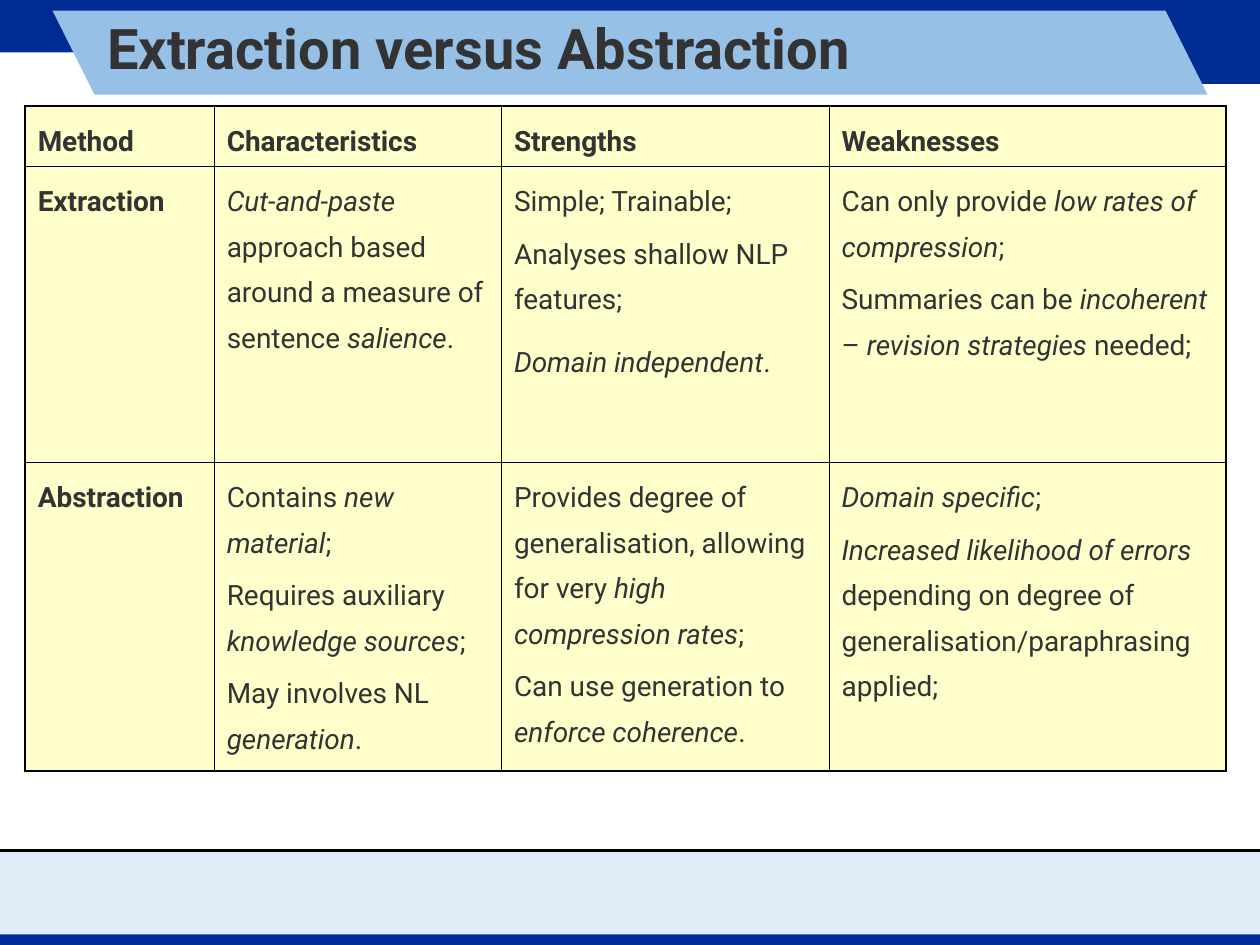
from lxml.etree import SubElement
from pptx import Presentation
from pptx.dml.color import RGBColor
from pptx.enum.shapes import MSO_CONNECTOR as Connector, MSO_SHAPE as Shape
from pptx.enum.text import MSO_ANCHOR as Anchor, MSO_AUTO_SIZE as AutoSize, PP_ALIGN as Align
from pptx.oxml.ns import qn
from pptx.util import Inches, Pt

COLS, ROWS = 120, 90  # slide grid, twelve units to the inch
UNIT = Inches(10) // COLS
NAVY, SKY, PALE, CREAM = "002B94", "97C0E6", "E0ECF7", "FFFFCC"
INK, BLACK = "333333", "000000"
THIN, THICK = 0.45, 1.08

TITLE = "Extraction versus Abstraction"
COLUMN_WIDTHS = [1.5, 2.28, 2.6, 3.15]
ROW_HEIGHTS = [0.48, 2.35, 2.45]
# Each cell is a list of paragraphs; asterisks enclose italic words
METHODS = [
    [["Method"], ["Characteristics"], ["Strengths"], ["Weaknesses"]],
    [["Extraction"],
     ["*Cut-and-paste* approach based around a measure of sentence *salience*."],
     ["Simple; Trainable;", "Analyses shallow NLP features;",
      "*Domain independent*."],
     ["Can only provide *low rates of compression*;",
      "Summaries can be *incoherent* – *revision strategies* needed;"]],
    [["Abstraction"],
     ["Contains *new material*;", "Requires auxiliary *knowledge sources*;",
      "May involves NL *generation*."],
     ["Provides degree of generalisation, allowing for very *high compression rates*;",
      "Can use generation to *enforce coherence*."],
     ["*Domain specific*;",
      "*Increased likelihood of errors* depending on degree of "
      "generalisation/paraphrasing applied;"]],
]
WIDE_GAPS = {(1, 2): 10}  # space before the last paragraph of a cell


def colour(value):
    return RGBColor.from_string(value)


def write(para, text, size=16, bold=False, spacing=None, before=0):
    """Fill a paragraph, switching italics at each asterisk."""
    para.alignment = Align.LEFT
    para.space_before = Pt(before)
    if spacing:
        para.line_spacing = spacing
    for index, part in enumerate(text.split("*")):
        if part:
            span = para.add_run()
            span.text = part
            font = span.font
            font.name, font.size, font.bold = "Roboto", Pt(size), bold
            font.italic = index % 2 == 1
            font.color.rgb = colour(INK)


def paint(shape, fill):
    shape.shadow.inherit = False
    shape.fill.solid()
    shape.fill.fore_color.rgb = colour(fill)
    shape.line.fill.background()


def add_bar(page, box, fill):
    paint(page.shapes.add_shape(Shape.RECTANGLE, *[UNIT * n for n in box]), fill)


def add_slanted_band(page, box, shift, fill):
    """Draw a band whose bottom edge is moved sideways by shift units."""
    left, top, width, height = box
    start = left + max(-shift, 0)
    end = left + width - max(shift, 0)
    bottom = top + height
    corners = [(end, top), (end + shift, bottom), (start + shift, bottom)]
    outline = page.shapes.build_freeform(UNIT * start, UNIT * top)
    outline.add_line_segments([(UNIT * x, UNIT * y) for x, y in corners], close=True)
    paint(outline.convert_to_shape(), fill)


def add_footer(page, box):
    left, top, width, height = box
    add_slanted_band(page, (left - 5, top, width + 10, height - 1), -5, PALE)
    rule = page.shapes.add_connector(
        Connector.STRAIGHT, UNIT * left, UNIT * top, UNIT * (left + width), UNIT * top)
    rule.line.color.rgb = colour(BLACK)
    rule.line.width = Pt(1.5)
    SubElement(rule.element.spPr, qn("a:effectLst"))
    add_bar(page, (left, top + height - 1, width, 1), NAVY)


def add_header(page, box):
    left, top, width, height = box
    add_bar(page, (left, top, width, 5), NAVY)
    add_bar(page, (left + width - 34, top + 3, 34, 5), NAVY)
    add_slanted_band(page, (left + 5, top + 1, width - 10, height - 1), 4, SKY)

    # Title placeholder, brought in front of the band
    title = page.shapes.title
    title.left, title.top = UNIT * (left + 9), UNIT * (top + 1)
    title.width, title.height = UNIT * (width - 18), UNIT * (height - 2)
    title.element.getparent().append(title.element)
    frame = title.text_frame
    frame.word_wrap, frame.auto_size = True, AutoSize.NONE
    frame.vertical_anchor = Anchor.MIDDLE
    write(frame.paragraphs[0], TITLE, size=32, bold=True)


def set_borders(cell, outer_sides):
    properties = cell._tc.get_or_add_tcPr()
    for side in "LRTB":
        width = Pt(THICK if side in outer_sides else THIN)
        line = SubElement(properties, qn(f"a:ln{side}"), w=str(int(width)))
        SubElement(SubElement(line, qn("a:solidFill")), qn("a:srgbClr"), val=BLACK)


def fill_cell(cell, texts, bold, last_gap):
    cell.fill.solid()
    cell.fill.fore_color.rgb = colour(CREAM)
    cell.vertical_anchor = Anchor.TOP
    frame = cell.text_frame
    for index, text in enumerate(texts):
        para = frame.add_paragraph() if index else frame.paragraphs[0]
        before = last_gap if index == len(texts) - 1 else 4
        write(para, text, bold=bold, spacing=1.4, before=before)


def add_methods_table(page, left, top):
    last_row, last_col = len(ROW_HEIGHTS) - 1, len(COLUMN_WIDTHS) - 1
    table = page.shapes.add_table(
        last_row + 1, last_col + 1, Inches(left), Inches(top),
        Inches(sum(COLUMN_WIDTHS)), Inches(sum(ROW_HEIGHTS))).table
    table.first_row = table.horz_banding = False
    for column, width in zip(table.columns, COLUMN_WIDTHS):
        column.width = Inches(width)
    for row, height in zip(table.rows, ROW_HEIGHTS):
        row.height = Inches(height)
    for r, row in enumerate(METHODS):
        for c, texts in enumerate(row):
            cell = table.cell(r, c)
            edges = {"L": c == 0, "R": c == last_col, "T": r == 0, "B": r == last_row}
            set_borders(cell, [side for side, outer in edges.items() if outer])
            fill_cell(cell, texts, r == 0 or c == 0, WIDE_GAPS.get((r, c), 4))


def main():
    deck = Presentation()
    deck.slide_width, deck.slide_height = UNIT * COLS, UNIT * ROWS
    page = deck.slides.add_slide(deck.slide_layouts[5])  # title only
    add_footer(page, (0, 81, COLS, 9))
    add_header(page, (0, 0, COLS, 9))
    add_methods_table(page, 0.2, 0.84)
    deck.save("out.pptx")


if __name__ == "__main__":
    main()
